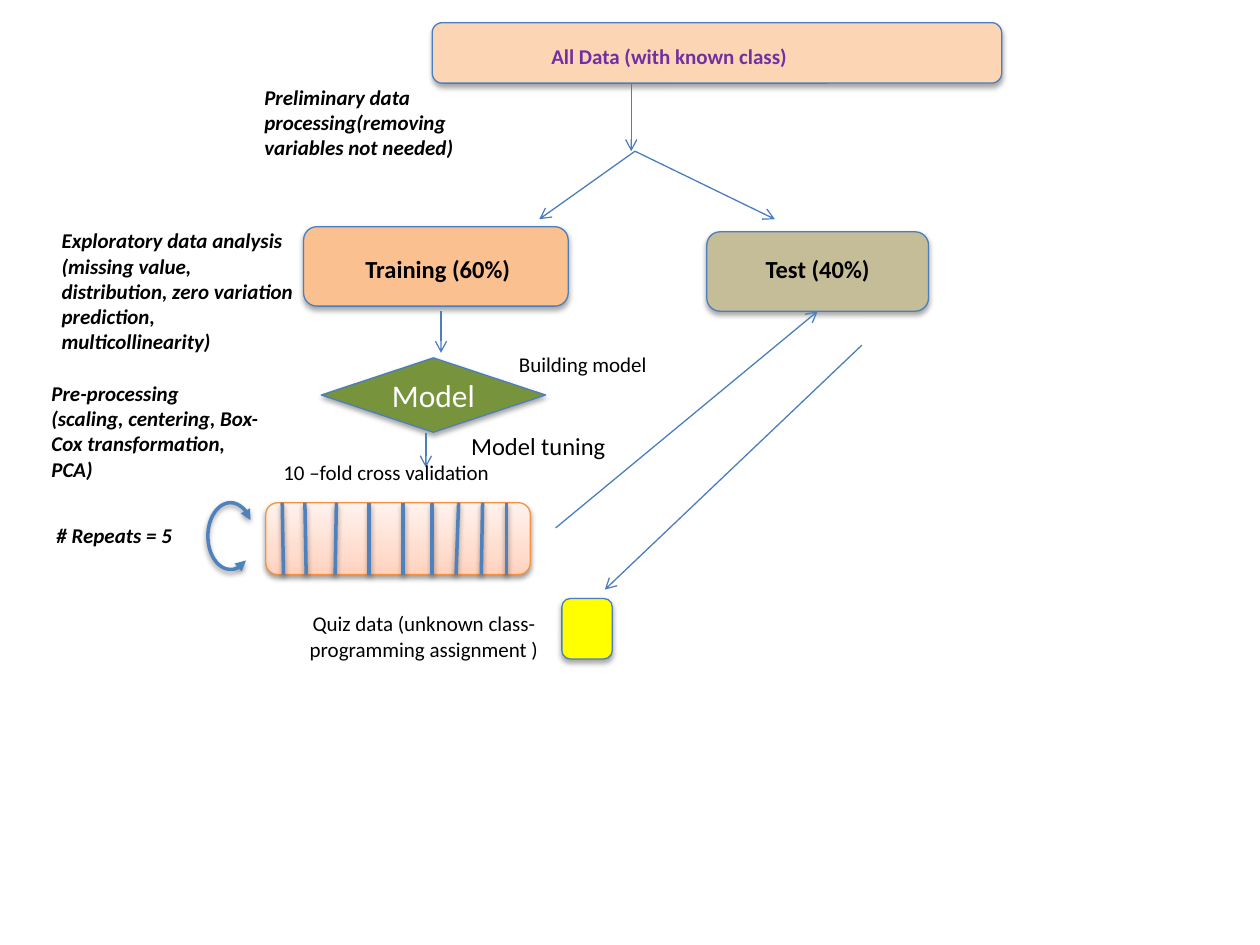
"""Build a flow slide of model training, testing and cross validation."""
from copy import deepcopy
from pptx import Presentation
from pptx.dml.color import RGBColor as RGB
from pptx.enum.shapes import MSO_CONNECTOR as LINK, MSO_SHAPE as SHAPE
from pptx.enum.text import MSO_ANCHOR as ANCHOR, PP_ALIGN as ALIGN
from pptx.oxml import parse_xml
from pptx.oxml.ns import nsdecls, qn
from pptx.util import Inches, Pt

BLUE = RGB(0x4B, 0x7E, 0xBC)
STEEL = RGB(0x4F, 0x81, 0xBD)
ORANGE = RGB(0xF6, 0x92, 0x40)
PEACH = RGB(0xFC, 0xD5, 0xB5)
APRICOT = RGB(0xFA, 0xC0, 0x90)
TAN = RGB(0xC4, 0xBD, 0x97)
YELLOW = RGB(0xFF, 0xFF, 0x00)
GREEN = RGB(0x77, 0x93, 0x3C)
PURPLE = RGB(0x70, 0x30, 0xA0)
BLACK = RGB(0, 0, 0)
WHITE = RGB(0xFF, 0xFF, 0xFF)
BLUSH = [RGB(0xFF, 0xD2, 0xBD), RGB(0xFF, 0xDE, 0xD0), RGB(0xFF, 0xF2, 0xED)]

deck = Presentation()
deck.slide_width, deck.slide_height = Inches(10), Inches(7.5)
slide = deck.slides.add_slide(deck.slide_layouts[6])
shapes = slide.shapes


def write(frame, text, size=12, color=BLACK, bold=False, italic=False, align=ALIGN.LEFT):
    frame.word_wrap = True
    frame.text = text
    for para in frame.paragraphs:
        para.alignment = align
        font = para.runs[0].font
        font.name, font.size = "Calibri", Pt(size)
        font.bold, font.italic = bold, italic
        font.color.rgb = color


def finish(item, color=BLUE, width=0.75, ends=(), shade=None):
    item.line.color.rgb = color
    item.line.width = Pt(width)
    for tag, kind in ends:
        item.line._get_or_add_ln().append(parse_xml(f'<a:{tag} {nsdecls("a")} type="{kind}"/>'))
    props = item._element.spPr
    for old in props.findall(qn("a:effectLst")):
        props.remove(old)
    cast = ""
    if shade:
        alpha, gap = shade
        cast = (f'<a:outerShdw blurRad="{Pt(3.1)}" dist="{Pt(gap)}" dir="5400000" rotWithShape="0">'
                f'<a:srgbClr val="000000"><a:alpha val="{alpha}000"/></a:srgbClr></a:outerShdw>')
    props.append(parse_xml(f'<a:effectLst {nsdecls("a")}>{cast}</a:effectLst>'))


SOFT, DEEP = (35, 1.8), (38, 1.6)

blocks = [
    (SHAPE.ROUNDED_RECTANGLE, 3.43, 0.18, 4.52, 0.48, PEACH),
    (SHAPE.ROUNDED_RECTANGLE, 2.41, 1.8, 2.1, 0.63, APRICOT),
    (SHAPE.ROUNDED_RECTANGLE, 5.61, 1.84, 1.76, 0.63, TAN),
    (SHAPE.ROUNDED_RECTANGLE, 4.46, 4.75, 0.4, 0.48, YELLOW),
    (SHAPE.DIAMOND, 2.55, 2.84, 1.78, 0.59, GREEN),
]
for kind, *place, color in blocks:
    block = shapes.add_shape(kind, *map(Inches, place))
    block.fill.solid()
    block.fill.fore_color.rgb = color
    finish(block, shade=SOFT)
model = block.text_frame
model.margin_left = model.margin_right = model.margin_top = model.margin_bottom = 0
model.vertical_anchor = ANCHOR.MIDDLE
write(model, "Model", size=18, color=WHITE, align=ALIGN.CENTER)

top, tall = 3.99, 0.57
folds = shapes.add_shape(SHAPE.ROUNDED_RECTANGLE, Inches(2.11), Inches(top), Inches(2.1), Inches(tall))
folds.fill.gradient()
folds.fill.gradient_angle = 90
first = folds._element.spPr.find(".//" + qn("a:gs"))
first.addnext(deepcopy(first))
for stop, color, spot in zip(folds.fill.gradient_stops, BLUSH, (0, 0.35, 1)):
    stop.color.rgb = color
    stop.position = spot
finish(folds, color=ORANGE, shade=DEEP)

stripes = [(2.24, 2.25), (2.42, 2.43), (2.67, 2.66), (2.93, 2.93), (3.2, 3.2),
           (3.43, 3.43), (3.64, 3.62), (3.83, 3.82), (4.02, 4.02)]
for high, low in stripes:
    stripe = shapes.add_connector(LINK.STRAIGHT, *map(Inches, (high, top, low, top + tall)))
    finish(stripe, color=STEEL, width=2, shade=DEEP)

loop = shapes.add_shape(SHAPE.ARC, Inches(1.65), Inches(top), Inches(0.36), Inches(0.53))
loop.adjustments[0], loop.adjustments[1] = 34.56, 192.81
loop.fill.background()
finish(loop, color=STEEL, width=2, shade=DEEP,
       ends=[("headEnd", "triangle"), ("tailEnd", "triangle")])

arrows = [
    (5.01, 0.67, 5.01, 1.2),
    (5.04, 1.2, 4.28, 1.74),
    (5.04, 1.2, 6.15, 1.74),
    (3.5, 2.47, 3.5, 2.8),
    (3.38, 3.44, 3.38, 3.71),
    (4.41, 4.19, 6.49, 2.47),
    (6.84, 2.74, 4.8, 4.68),
]
for ends in arrows:
    arrow = shapes.add_connector(LINK.STRAIGHT, *map(Inches, ends))
    finish(arrow, ends=[("tailEnd", "arrow")])

mid = dict(align=ALIGN.CENTER)
head = dict(size=14, bold=True, **mid)
note = dict(bold=True, italic=True)
labels = [
    (3.07, 0.3, 4.52, 0.3, "All Data (with known class) ", dict(color=PURPLE, bold=True, **mid)),
    (2.43, 1.97, 2.09, 0.34, "Training (60%)", head),
    (5.61, 1.97, 1.76, 0.34, "Test (40%)", head),
    (2, 0.62, 2.1, 0.71, "Preliminary data processing(removing variables not needed)", note),
    (0.39, 1.76, 2.05, 1.11, "Exploratory data analysis (missing value, distribution, "
     "zero variation prediction, multicollinearity)", note),
    (0.31, 2.97, 1.92, 0.91, "Pre-processing\n(scaling, centering, Box-Cox transformation, PCA) ", note),
    (0.35, 4.1, 1.3, 0.3, "# Repeats = 5", note),
    (4.02, 2.74, 1.78, 0.3, "Building model ", {}),
    (3.64, 3.37, 1.38, 0.34, "Model tuning ", dict(size=14)),
    (2.15, 3.6, 2.99, 0.3, "10 –fold cross validation ", {}),
    (2.35, 4.8, 2.03, 0.5, "Quiz data (unknown class- programming assignment )", mid),
]
for *place, text, style in labels:
    label = shapes.add_textbox(*map(Inches, place))
    write(label.text_frame, text, **style)

deck.save("out.pptx")
